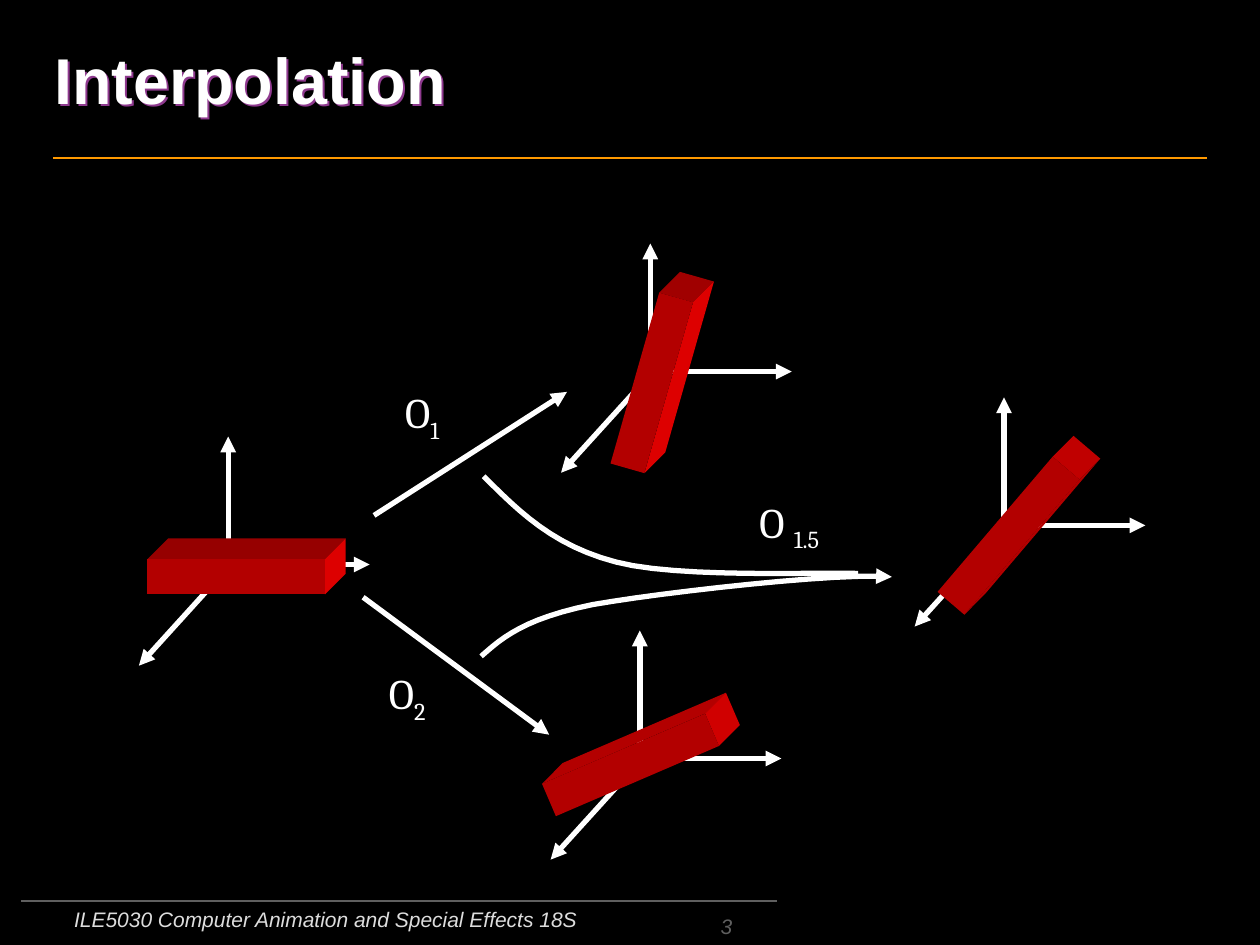
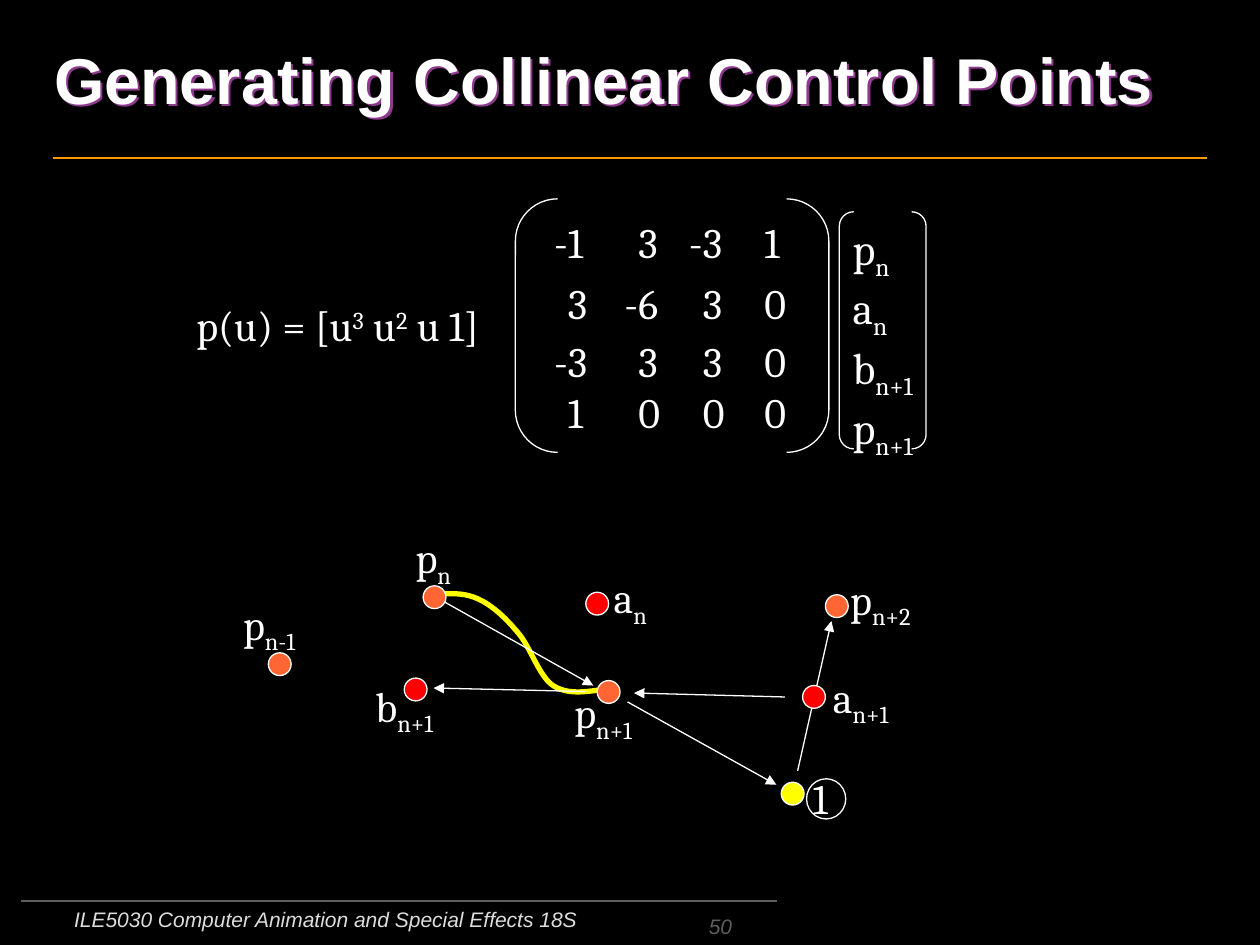
import math
from dataclasses import dataclass

from lxml import etree
from pptx import Presentation
from pptx import util as u
from pptx.dml.color import RGBColor
from pptx.enum import shapes, text
from pptx.oxml import ns


@dataclass(frozen=True)
class Theme:
    background: str = "000000"
    ink: str = "FFFFFF"
    rule: str = "FF9900"
    footer_rule: str = "5F5F5F"
    footer_text: str = "DDDDDD"
    title_shadow: str = "8F3A8F"
    front: str = "B30000"
    top: str = "960000"
    side: str = "DD0000"
    end_shade: str = "A00000"
    end_light: str = "D00000"
    end_mid: str = "C00000"
    point: str = "FF6633"
    control: str = "FF0000"
    highlight: str = "FFFF00"
    sans: str = "Arial"
    serif: str = "Cambria"
    title_size: float = 37
    label_size: float = 24
    vector_size: float = 25
    footer_size: float = 12
    thick: float = 3
    thin: float = 0.75


theme = Theme()


def style_line(shape, colour, width, arrow=False):
    shape.line.color.rgb = RGBColor.from_string(colour)
    shape.line.width = u.Pt(width)
    if arrow:
        etree.SubElement(shape.line._get_or_add_ln(), ns.qn("a:tailEnd"), type="triangle")
    etree.SubElement(shape._element.spPr, ns.qn("a:effectLst"))


def add_label(slide, box, paragraphs, size=theme.label_size, shift=-25000):
    shape = slide.shapes.add_textbox(*map(u.Cm, box))
    frame = shape.text_frame
    frame.word_wrap = True
    for index, parts in enumerate(paragraphs):
        paragraph = frame.paragraphs[0] if index == 0 else frame.add_paragraph()
        for position, part in enumerate(parts):
            run = paragraph.add_run()
            run.text = part
            run.font.size = u.Pt(size)
            run.font.name = theme.serif
            run.font.color.rgb = RGBColor.from_string(theme.ink)
            if position % 2:
                run._r.get_or_add_rPr().set("baseline", str(shift))
    return shape


presentation = Presentation()
presentation.slide_width = u.Cm(25.4)
presentation.slide_height = u.Cm(19.05)
background = presentation.slide_master.background.fill
background.solid()
background.fore_color.rgb = RGBColor.from_string(theme.background)

slides = []
for heading, title_width, number in [
    ("Interpolation", 18.62, "3"),
    ("Generating Collinear Control Points", 23.5, "50"),
]:
    slide = presentation.slides.add_slide(presentation.slide_layouts[5])
    slides.append(slide)
    for left, right, y, colour in [
        (1.07, 24.33, 3.18, theme.rule),
        (0.43, 15.67, 18.16, theme.footer_rule),
    ]:
        rule = slide.shapes.add_connector(
            shapes.MSO_CONNECTOR.STRAIGHT, u.Cm(left), u.Cm(y), u.Cm(right), u.Cm(y)
        )
        style_line(rule, colour, 1)

    for box, words, colour, alignment, anchor in [
        ((9.09, 18.36, 5.92, 0.69), number, theme.footer_rule,
         text.PP_ALIGN.RIGHT, text.MSO_ANCHOR.BOTTOM),
        ((0.64, 18.16, 11.86, 0.89), "ILE5030 Computer Animation and Special Effects 18S",
         theme.footer_text, text.PP_ALIGN.CENTER, text.MSO_ANCHOR.TOP),
    ]:
        footer = add_label(slide, box, [(words,)], theme.footer_size)
        footer.text_frame.vertical_anchor = anchor
        paragraph = footer.text_frame.paragraphs[0]
        paragraph.alignment = alignment
        font = paragraph.runs[0].font
        font.name = theme.sans
        font.italic = True
        font.color.rgb = RGBColor.from_string(colour)

    title = slide.shapes.title
    title.left, title.top, title.width, title.height = map(u.Cm, (0.84, 0, title_width, 3.18))
    title.text_frame.text = heading
    title.text_frame.vertical_anchor = text.MSO_ANCHOR.MIDDLE
    paragraph = title.text_frame.paragraphs[0]
    paragraph.alignment = text.PP_ALIGN.LEFT
    font = paragraph.runs[0].font
    font.name = theme.sans
    font.size = u.Pt(theme.title_size)
    font.bold = True
    font.color.rgb = RGBColor.from_string(theme.ink)
    effects = etree.SubElement(title._element.spPr, ns.qn("a:effectLst"))
    shadow = etree.SubElement(
        effects, ns.qn("a:outerShdw"), dist=str(u.Cm(0.06)), dir="2700000", algn="ctr"
    )
    etree.SubElement(shadow, ns.qn("a:srgbClr"), val=theme.title_shadow)

interpolation, collinear = slides

curves = [
    (interpolation, theme.ink, False,
     [(9.75, 9.6), (10.46, 10.31), (11.15, 11), (12.42, 11.33),
      (13.67, 11.66), (16.48, 11.53), (17.3, 11.56)]),
    (interpolation, theme.ink, True,
     [(9.7, 13.23), (10.13, 12.85), (10.57, 12.47), (11.94, 12.19),
      (13.34, 11.94), (16.99, 11.53), (17.98, 11.63)]),
    (collinear, theme.highlight, False,
     [(8.74, 11.99), (9.04, 11.96), (9.35, 11.94), (9.63, 12.07), (9.91, 12.19),
      (10.19, 12.45), (10.44, 12.75), (10.69, 13.03), (10.87, 13.64), (11.15, 13.82),
      (11.46, 14.02), (11.84, 13.94), (12.22, 13.89)]),
]
steps = 12
for slide, colour, arrow, knots in curves:
    points = [knots[0]]
    for first in range(0, len(knots) - 1, 3):
        controls = knots[first:first + 4]
        for step in range(1, steps + 1):
            t = step / steps
            weights = [math.comb(3, k) * t**k * (1 - t) ** (3 - k) for k in range(4)]
            points.append(tuple(
                sum(weight * control[axis] for weight, control in zip(weights, controls))
                for axis in (0, 1)
            ))
    outline = [(u.Cm(x), u.Cm(y)) for x, y in points]
    builder = slide.shapes.build_freeform(*outline[0])
    builder.add_line_segments(outline[1:], close=False)
    curve = builder.convert_to_shape()
    curve.fill.background()
    style_line(curve, colour, theme.thick, arrow)

poses = [
    ((4.65, 11.38), (4.76, 11.63), 0, theme.side, theme.top),
    ((13.16, 7.49), (13.14, 7.72), 285.9, theme.end_shade, theme.side),
    ((12.95, 15.29), (12.71, 15.42), 336.7, theme.end_light, theme.front),
    ((20.29, 10.59), (20.33, 10.8), 310.4, theme.end_mid, theme.front),
]
arrows = [
    (interpolation, theme.thick, (7.54, 10.39), (11.43, 7.9)),
    (interpolation, theme.thick, (7.32, 12.04), (11.07, 14.81)),
    (collinear, theme.thin, (16.08, 15.54), (16.76, 12.52)),
    (collinear, theme.thin, (15.82, 14.05), (12.78, 13.97)),
    (collinear, theme.thin, (11.79, 13.94), (8.74, 13.87)),
    (collinear, theme.thin, (8.97, 12.14), (11.96, 13.82)),
    (collinear, theme.thin, (12.65, 14.15), (15.65, 15.82)),
]
for (x, y), *_ in poses:
    arrows += [
        (interpolation, theme.thick, (x - 0.05, y - 0.05), (x - 0.05, y - 2.58)),
        (interpolation, theme.thick, (x, y), (x + 2.8, y)),
        (interpolation, theme.thick, (x, y), (x - 1.85, y + 2.04)),
    ]
for slide, width, start, end in arrows:
    arrow = slide.shapes.add_connector(
        shapes.MSO_CONNECTOR.STRAIGHT, *map(u.Cm, start + end)
    )
    style_line(arrow, theme.ink, width, arrow=True)

box_length, box_height, depth = 3.58, 0.71, 0.42
for origin, (center_x, center_y), degrees, end_colour, long_colour in poses:
    angle = math.radians(degrees)
    cosine, sine = math.cos(angle), math.sin(angle)
    corners = [
        (center_x + a * box_length / 2 * cosine - b * box_height / 2 * sine,
         center_y + a * box_length / 2 * sine + b * box_height / 2 * cosine)
        for a, b in [(-1, -1), (1, -1), (1, 1), (-1, 1)]
    ]
    faces = []
    for index, start in enumerate(corners):
        end = corners[(index + 1) % 4]
        toward_depth = (end[1] - start[1]) + (end[0] - start[0])
        if toward_depth > 0:
            back = [(x + depth, y - depth) for x, y in (end, start)]
            faces.append(([start, end] + back, end_colour if index % 2 else long_colour))
    faces.append((corners, theme.front))
    for points, colour in faces:
        outline = [(u.Cm(x), u.Cm(y)) for x, y in points]
        builder = interpolation.shapes.build_freeform(*outline[0])
        builder.add_line_segments(outline[1:])
        face = builder.convert_to_shape()
        face.fill.solid()
        face.fill.fore_color.rgb = RGBColor.from_string(colour)
        face.line.fill.background()
        face.shadow.inherit = False

for x, y, width, parts in [
    (7.92, 7.67, 1.4, ("O", "1")),
    (7.59, 13.34, 1.4, ("O", "2")),
    (15.06, 9.88, 2.03, ("O ", "1.5")),
]:
    add_label(interpolation, (x, y, width, 1.27), [parts])

outlined = [
    (shapes.MSO_SHAPE.OVAL, (16.26, 15.7, 0.79, 0.81), None),
    (shapes.MSO_SHAPE.DOUBLE_BRACKET, (10.39, 4.01, 6.32, 5.11), None),
    (shapes.MSO_SHAPE.DOUBLE_BRACKET, (16.92, 4.27, 1.75, 4.78), None),
]
for dot_x, dot_y, colour, parts, x, y, width in [
    (5.41, 13.16, theme.point, ("p", "n-1"), 4.65, 11.94, 1.88),
    (8.53, 11.81, theme.point, ("p", "n"), 8.13, 10.59, 1.27),
    (12.04, 13.72, theme.point, ("p", "n+1"), 11.33, 13.72, 1.88),
    (16.64, 11.99, theme.point, ("p", "n+2"), 16.89, 11.43, 1.88),
    (16.18, 13.82, theme.control, ("a", "n+1"), 16.54, 13.41, 1.88),
    (11.81, 11.94, theme.control, ("a", "n"), 12.12, 11.4, 1.88),
    (8.15, 13.67, theme.control, ("b", "n+1"), 7.32, 13.59, 1.88),
    (15.75, 15.77, theme.highlight, ("1",), 16.13, 15.44, 0.94),
]:
    outlined.append((shapes.MSO_SHAPE.OVAL, (dot_x, dot_y, 0.46, 0.46), colour))
    add_label(collinear, (x, y, width, 1.27), [parts])
for kind, box, colour in outlined:
    shape = collinear.shapes.add_shape(kind, *map(u.Cm, box))
    if colour:
        shape.fill.solid()
        shape.fill.fore_color.rgb = RGBColor.from_string(colour)
    else:
        shape.fill.background()
    style_line(shape, theme.ink, theme.thin)

add_label(collinear, (3.71, 5.92, 6.27, 1.27),
          [("p(u) = [u", "3", " u", "2", " u 1]")], shift=30000)
add_label(collinear, (16.94, 4.34, 1.88, 4.5),
          [("p", "n"), ("a", "n"), ("b", "n+1"), ("p", "n+1")], theme.vector_size)

column_rights = [12.14, 13.56, 14.86, 16.1]
basis_rows = [
    (4.24, ["-1", "3", "-3", "1"]),
    (5.46, ["3", "-6", "3", "0"]),
    (6.63, ["-3", "3", "3", "0"]),
    (7.67, ["1", "0", "0", "0"]),
]
for y, values in basis_rows:
    for right, value in zip(column_rights, values):
        width = 0.94 if len(value) == 1 else 1.22
        add_label(collinear, (right - width, y, width, 1.27), [(value,)])

presentation.save("out.pptx")
